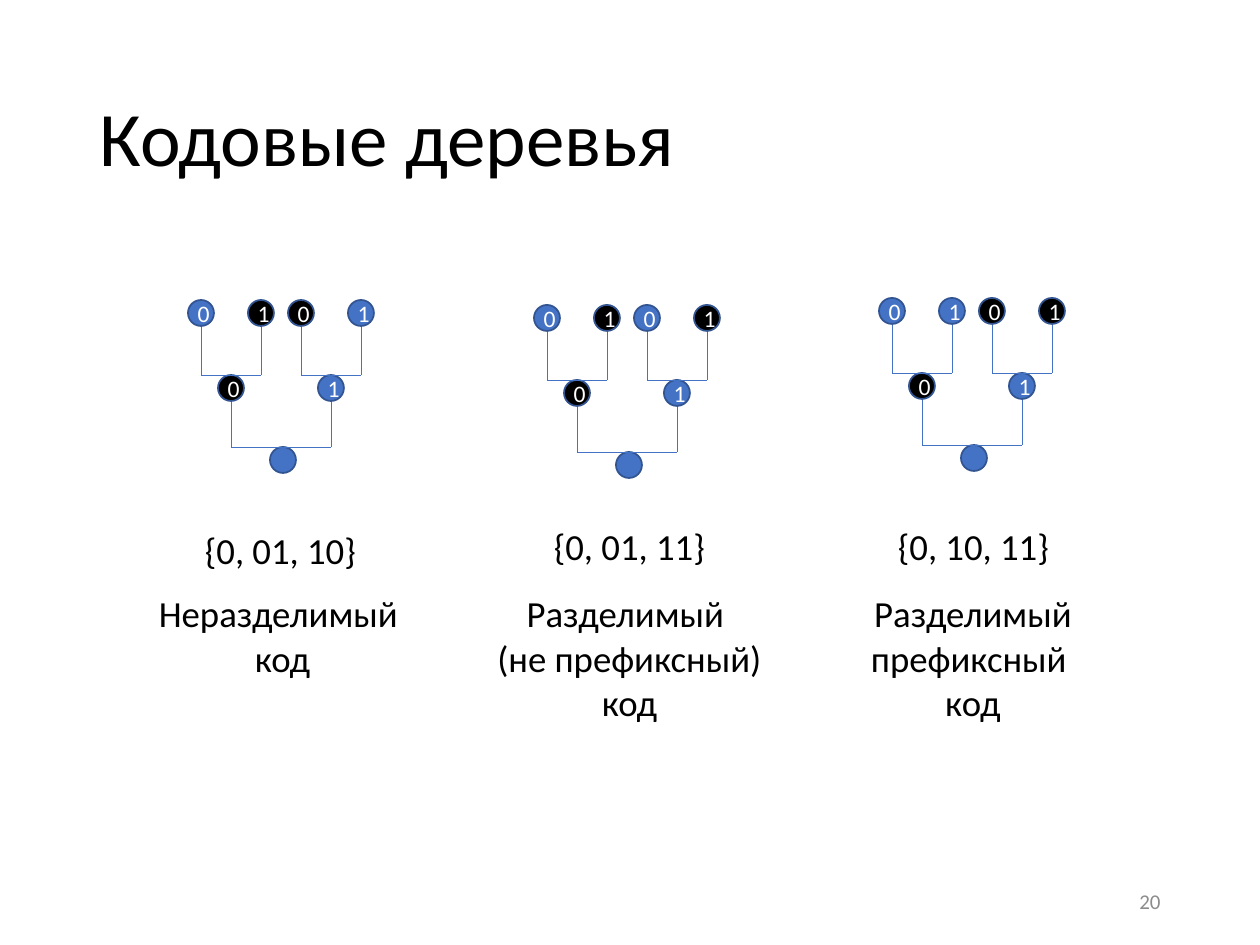
from dataclasses import dataclass
from lxml import etree
from pptx import Presentation
from pptx.dml.color import RGBColor
from pptx.enum.shapes import MSO_CONNECTOR as CONN, MSO_SHAPE as SHAPE
from pptx.enum.text import MSO_ANCHOR as ANCHOR, PP_ALIGN as ALIGN
from pptx.oxml.ns import qn
from pptx.util import Emu, Pt


def px(n):
    return Emu(round(n * 914400 / 126))


def rgb(value):
    return RGBColor.from_string(value)


def write(tf, text, size=21, color="000000", font="Calibri", align=ALIGN.CENTER,
          anchor=ANCHOR.TOP, spacing=None, before=None):
    tf.word_wrap = True
    tf.vertical_anchor = anchor
    p = tf.paragraphs[0]
    p.alignment = align
    p.line_spacing = spacing
    p.space_before = before
    for i, line in enumerate(text.split("\n")):
        if i:
            p.add_line_break()
        r = p.add_run()
        r.text = line
        r.font.name, r.font.size = font, Pt(size)
        r.font.color.rgb = rgb(color)


@dataclass
class Deck:
    """Slide under construction with the style of its code trees."""
    s: object
    plain: str = "4472C4"
    code: str = "000000"
    outline: str = "325491"
    node_size: int = 26
    spread: int = 30

    def text(self, x, y, w, h, text, **fmt):
        sp = self.s.shapes.add_textbox(px(x), px(y), px(w), px(h))
        write(sp.text_frame, text, **fmt)
        return sp

    def line(self, x1, y1, x2, y2):
        cn = self.s.shapes.add_connector(CONN.STRAIGHT, px(x1), px(y1), px(x2), px(y2))
        cn.line.color.rgb = rgb(self.plain)
        cn.line.width = Pt(0.5)
        etree.SubElement(cn._element.spPr, qn("a:effectLst"))

    def node(self, x, top, digit="", is_code=False):
        d = self.node_size
        sp = self.s.shapes.add_shape(SHAPE.OVAL, px(x - d / 2), px(top), px(d), px(d))
        sp.shadow.inherit = False
        sp.fill.solid()
        sp.fill.fore_color.rgb = rgb(self.code if is_code else self.plain)
        sp.line.color.rgb = rgb(self.outline)
        sp.line.width = Pt(1)
        if digit:
            write(sp.text_frame, digit, size=13.5, color="FFFFFF", anchor=ANCHOR.MIDDLE)

    def fork(self, left, right, y):
        self.line(left, y, right, y)
        for x in (left, right):
            self.line(x, y, x, y - 49)

    def tree(self, x, y, words):
        self.node(x, y)
        branches = {"0": x - 52, "1": x + 48}
        self.fork(*branches.values(), y)
        for first, bx in branches.items():
            top = y - 72
            self.node(bx, top, first, first in words)
            leaves = {"0": bx - self.spread, "1": bx + self.spread}
            self.fork(*leaves.values(), top)
            for second, lx in leaves.items():
                self.node(lx, top - 75, second, first + second in words)


def main():
    prs = Presentation()
    prs.slide_width, prs.slide_height = px(1260), px(945)
    deck = Deck(prs.slides.add_slide(prs.slide_layouts[6]))

    deck.text(87, 50, 1086, 183, "Кодовые деревья", size=44, align=ALIGN.LEFT,
              anchor=ANCHOR.MIDDLE, spacing=0.9)
    deck.text(890, 876, 283, 50, "20", size=12, color="8C8C8C", align=ALIGN.RIGHT,
              anchor=ANCHOR.MIDDLE)

    trees = [(283, 447, ("0", "01", "10")),
             (629, 452, ("0", "01", "11")),
             (974, 445, ("0", "10", "11"))]
    for x, y, words in trees:
        deck.tree(x, y, words)

    code_boxes = [(181, 522, 199, 102, {}),
                  (467, 524, 325, 137, {"spacing": 0.9, "before": Pt(10)}),
                  (811, 524, 325, 137, {"spacing": 0.9, "before": Pt(10)})]
    for (x, y, w, h, fmt), (*_, words) in zip(code_boxes, trees):
        sp = deck.text(x, y, w, h, "{" + ", ".join(words) + "}", **fmt)
        if fmt:
            tf = sp.text_frame
            tf.margin_left = tf.margin_right = px(9)
            tf.margin_top = tf.margin_bottom = px(5)

    captions = [(116, 333, 102, "Неразделимый \nкод"),
                (467, 325, 146, "Разделимый \n(не префиксный) код"),
                (789, 368, 146, "Разделимый префиксный \nкод")]
    for x, w, h, caption in captions:
        deck.text(x, 585, w, h, caption)

    prs.save("out.pptx")


if __name__ == "__main__":
    main()
